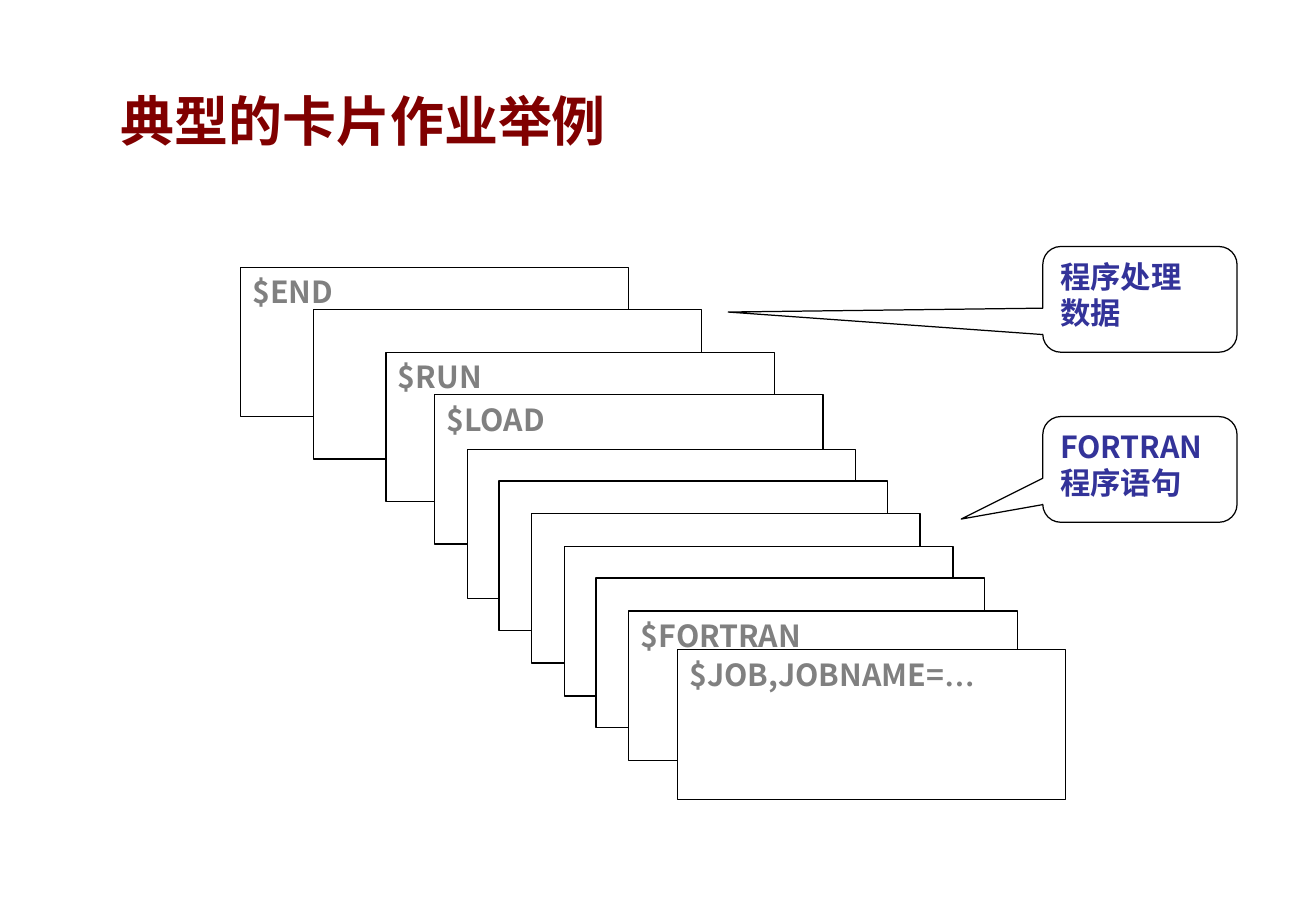
from lxml import etree
from pptx import Presentation
from pptx.dml.color import RGBColor
from pptx.enum import shapes, text
from pptx.oxml.ns import qn
from pptx.util import Pt

PX = 9144  # 100 px to the inch
SANS, SERIF = "Noto Sans CJK SC", "Times New Roman"
HUES = {"paper": "FFFFFF", "edge": "000000", "card": "808080",
        "note": "333399", "title": "800000"}
KIND = shapes.MSO_SHAPE


def hue(name):
    return RGBColor.from_string(HUES[name])


def style(par, size, color, face, align, asian=False):
    par.alignment = align
    font = par.font
    font.size, font.bold, font.name = Pt(size), True, face
    font.color.rgb = hue(color)
    if asian:
        props = par._p.pPr.find(qn("a:defRPr"))
        etree.SubElement(props, qn("a:ea")).set("typeface", SANS)


def panel(slide, kind, left, top, wide, high):
    shape = slide.shapes.add_shape(kind, *(n * PX for n in (left, top, wide, high)))
    shape.shadow.inherit = False
    shape.fill.solid()
    shape.fill.fore_color.rgb = hue("paper")
    shape.line.color.rgb = hue("edge")
    shape.line.width = Pt(0.75)
    shape.text_frame.word_wrap = True
    shape.text_frame.vertical_anchor = text.MSO_ANCHOR.TOP
    return shape


def card(slide, left, top, label="", tail=""):
    shape = panel(slide, KIND.RECTANGLE, left, top, 320, 123)
    if label:
        par = shape.text_frame.paragraphs[0]
        style(par, 18, "card", SANS, text.PP_ALIGN.JUSTIFY)
        par.add_run().text = label
        if tail:
            run = par.add_run()
            run.text, run.font.name = tail, SERIF


def note(slide, top, tip, words):
    shape = panel(slide, KIND.ROUNDED_RECTANGULAR_CALLOUT, 859, top, 160, 87)
    for i, value in enumerate((*tip, 0.17)):
        shape.adjustments[i] = value
    shape.text_frame.text = words
    for par in shape.text_frame.paragraphs:
        style(par, 18, "note", SANS, text.PP_ALIGN.JUSTIFY, asian=True)


def head(slide, words):
    box = slide.shapes.title
    box.left, box.top, box.width, box.height = (n * PX for n in (89, 67, 428, 64))
    frame = box.text_frame
    frame.text = words
    frame.auto_size = text.MSO_AUTO_SIZE.NONE
    frame.vertical_anchor = text.MSO_ANCHOR.MIDDLE
    style(frame.paragraphs[0], 32, "title", SERIF, text.PP_ALIGN.LEFT, asian=True)


def main():
    deck = Presentation()
    deck.slide_width, deck.slide_height = 1084 * PX, 750 * PX
    slide = deck.slides.add_slide(deck.slide_layouts[5])
    head(slide, "典型的卡片作业举例")

    # Cards that run the job, from the back
    for i, label in enumerate(("$END", "", "$RUN")):
        card(slide, 198 + 60 * i, 220 + 35 * i, label)
    card(slide, 358, 325, "$LOAD")

    # Program statements, down to the compiler card
    for i, label in enumerate([""] * 5 + ["$FORTRAN"]):
        step = 80 * i // 3
        card(slide, 385 + step, 370 + step, label)
    card(slide, 558, 535, "$JOB,JOBNAME=", "…")

    # Callouts
    note(slide, 203, (-2.12, 0.12), "程序处理\n数据")
    note(slide, 343, (-0.92, 0.47), "FORTRAN程序语句")
    deck.save("out.pptx")


if __name__ == "__main__":
    main()
